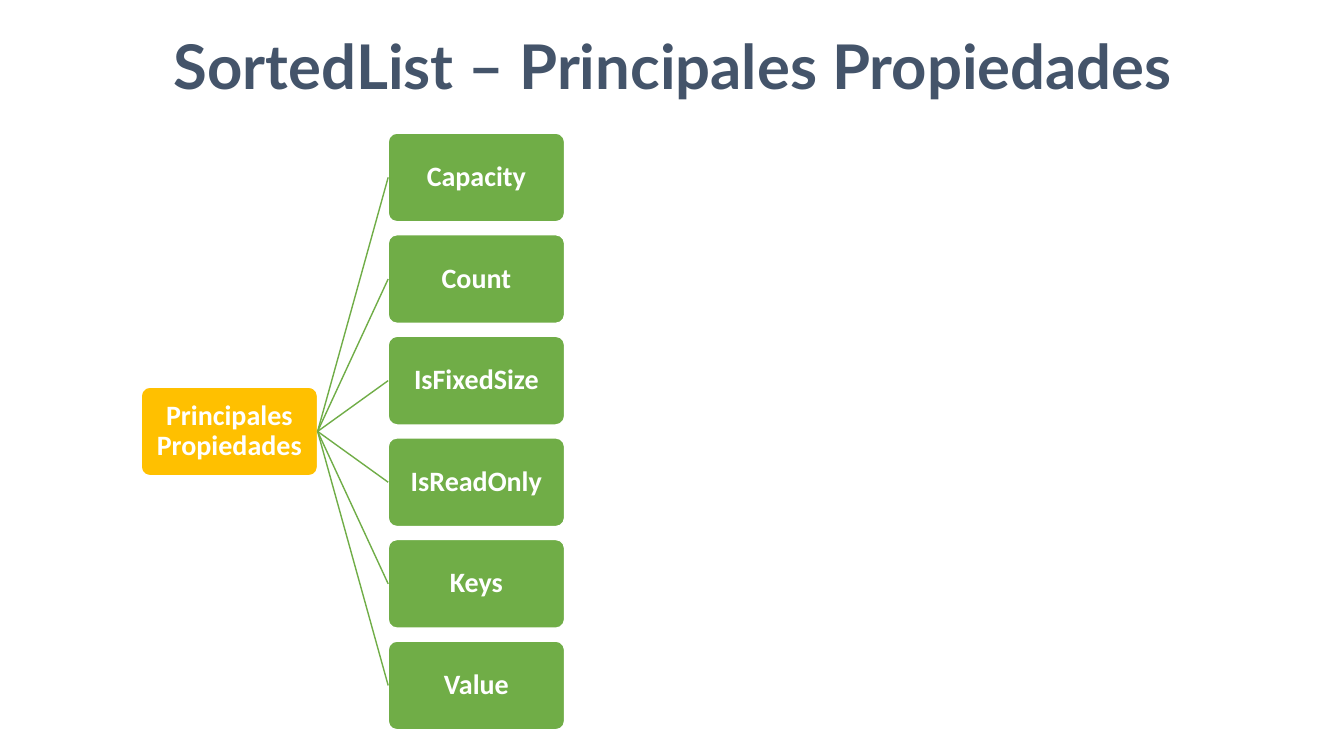
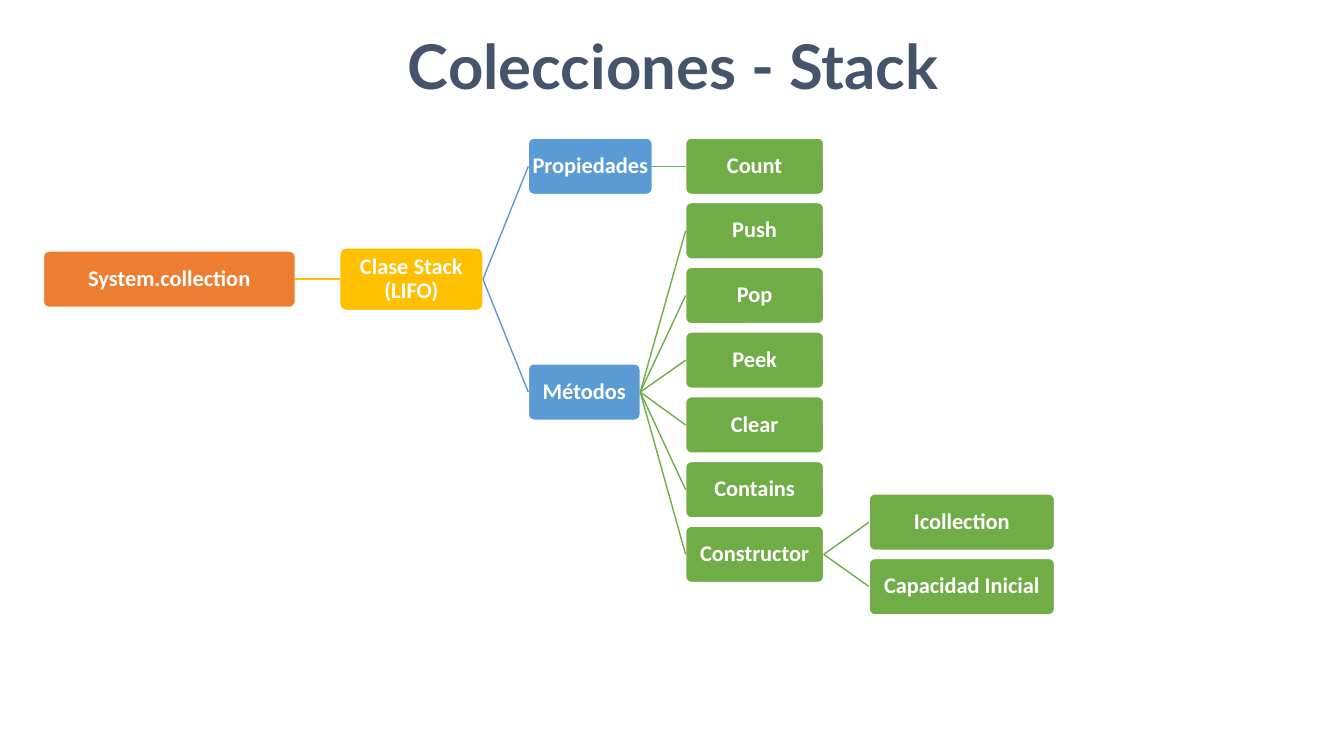
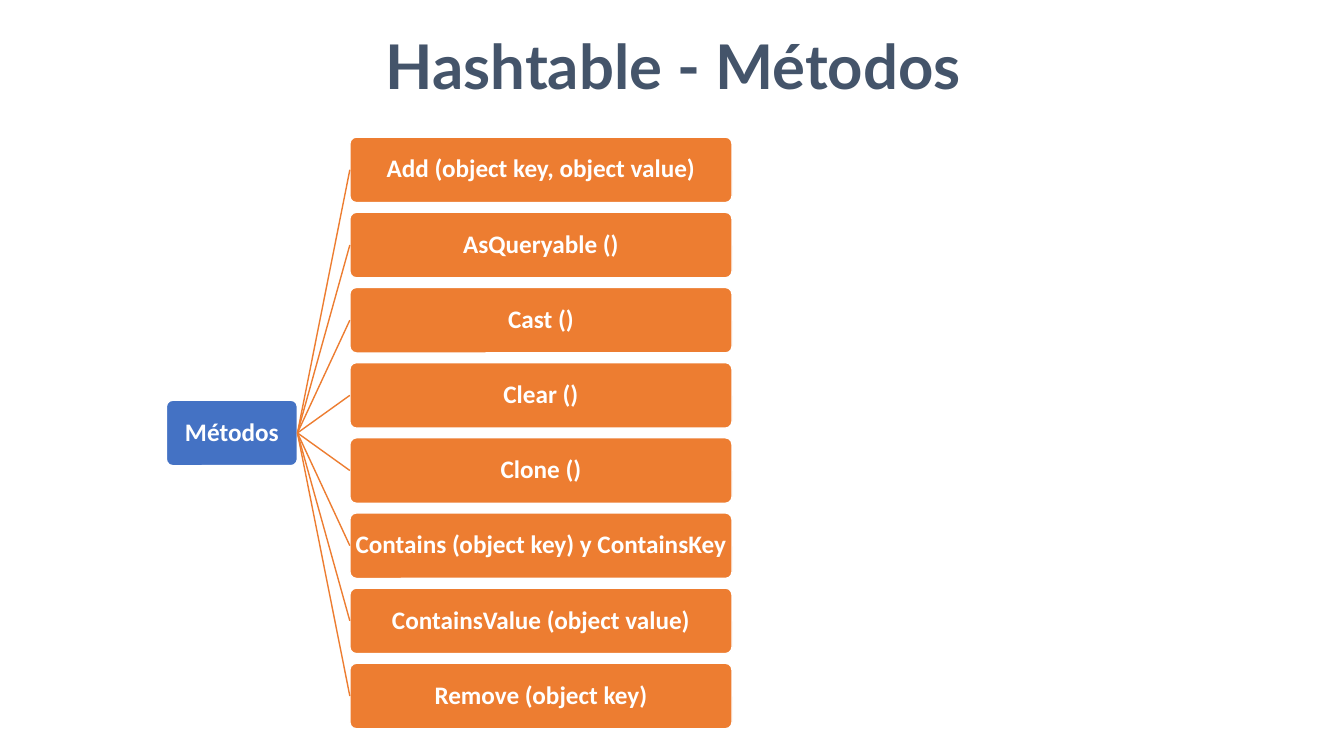
"""Build three slides of tree diagrams about collection classes."""
from dataclasses import dataclass

from lxml import etree
from pptx import Presentation
from pptx.dml.color import RGBColor
from pptx.enum.shapes import MSO_CONNECTOR, MSO_SHAPE
from pptx.enum.text import MSO_ANCHOR, PP_ALIGN
from pptx.oxml.ns import qn
from pptx.util import Pt

PX = 9144
STRAIGHT = MSO_CONNECTOR.STRAIGHT
ROUNDED = MSO_SHAPE.ROUNDED_RECTANGLE
MIDDLE, CENTER = MSO_ANCHOR.MIDDLE, PP_ALIGN.CENTER
LEFT_SIDE, RIGHT_SIDE = 1, 3


@dataclass(frozen=True)
class Theme:
    navy: str = "44546A"
    white: str = "FFFFFF"
    orange: str = "ED7D31"
    yellow: str = "FFC000"
    sky: str = "5B9BD5"
    blue: str = "4472C4"
    green: str = "70AD47"
    title_font: str = "Lato"
    label_font: str = "Calibri"
    title_size: int = 44
    large: int = 20
    medium: int = 18
    small: int = 16
    line: int = 1


theme = Theme()


def write(box, text, font, size, color, margin_x, margin_y):
    frame = box.text_frame
    frame.word_wrap = True
    frame.margin_left = frame.margin_right = margin_x * PX
    frame.margin_top = frame.margin_bottom = margin_y * PX
    frame.text = text
    para = frame.paragraphs[0]
    para.alignment = CENTER
    span = para.runs[0].font
    span.name, span.size, span.bold = font, Pt(size), True
    span.color.rgb = RGBColor.from_string(color)
    return frame


def connect(page, parent, child, color):
    link = page.shapes.add_connector(STRAIGHT, 0, 0, 0, 0)
    link.begin_connect(parent, RIGHT_SIDE)
    link.end_connect(child, LEFT_SIDE)
    link.line.color.rgb = RGBColor.from_string(color)
    link.line.width = Pt(theme.line)
    etree.SubElement(link._element.spPr, qn("a:effectLst"))


# Each group: parent, fill, left, width, height, first top, last top, labels
slides = [
    ("SortedList – Principales Propiedades", theme.large, [
        (None, theme.yellow, 140, 175, 88, 384, 384, ["Principales Propiedades"]),
        ("Principales Propiedades", theme.green, 385, 175, 88, 132, 636,
         ["Capacity", "Count", "IsFixedSize", "IsReadOnly", "Keys", "Value"]),
    ]),
    ("Colecciones - Stack", theme.small, [
        (None, theme.orange, 43, 250, 56, 249, 249, ["System.collection"]),
        ("System.collection", theme.yellow, 337, 142, 62, 246, 246, ["Clase Stack (LIFO)"]),
        ("Clase Stack (LIFO)", theme.sky, 524, 123, 56, 137, 137, ["Propiedades"]),
        ("Clase Stack (LIFO)", theme.sky, 524, 111, 56, 361, 361, ["Métodos"]),
        ("Propiedades", theme.green, 680, 137, 56, 137, 137, ["Count"]),
        ("Métodos", theme.green, 680, 137, 56, 201, 522,
         ["Push", "Pop", "Peek", "Clear", "Contains", "Constructor"]),
        ("Constructor", theme.green, 862, 184, 56, 490, 554,
         ["Icollection", "Capacidad Inicial"]),
    ]),
    ("Hashtable - Métodos", theme.medium, [
        (None, theme.blue, 165, 130, 65, 397, 397, ["Métodos"]),
        ("Métodos", theme.orange, 347, 379, 65, 136, 658,
         ["Add (object key, object value)", "AsQueryable ()", "Cast ()", "Clear ()",
          "Clone ()", "Contains (object key) y ContainsKey",
          "ContainsValue (object value)", "Remove (object key)"]),
    ]),
]

deck = Presentation()
deck.slide_width, deck.slide_height = 1333 * PX, 750 * PX

for title, size, groups in slides:
    page = deck.slides.add_slide(deck.slide_layouts[6])
    heading = page.shapes.add_textbox(13 * PX, 26 * PX, 1310 * PX, 79 * PX)
    write(heading, title, theme.title_font, theme.title_size, theme.navy, 5, 2)

    boxes = {}
    for parent, fill, left, width, height, first, last, labels in groups:
        step = (last - first) / max(len(labels) - 1, 1)
        for row, label in enumerate(labels):
            top = round((first + row * step) * PX)
            box = page.shapes.add_shape(ROUNDED, left * PX, top, width * PX, height * PX)
            box.adjustments[0] = 0.1
            box.shadow.inherit = False
            box.fill.solid()
            box.fill.fore_color.rgb = RGBColor.from_string(fill)
            box.line.color.rgb = RGBColor.from_string(theme.white)
            box.line.width = Pt(theme.line)
            frame = write(box, label, theme.label_font, size, theme.white, 1, 1)
            frame.vertical_anchor = MIDDLE
            frame.paragraphs[0].line_spacing = 0.9
            boxes[label] = box
            if parent:
                connect(page, boxes[parent], box, fill)

deck.save("out.pptx")
